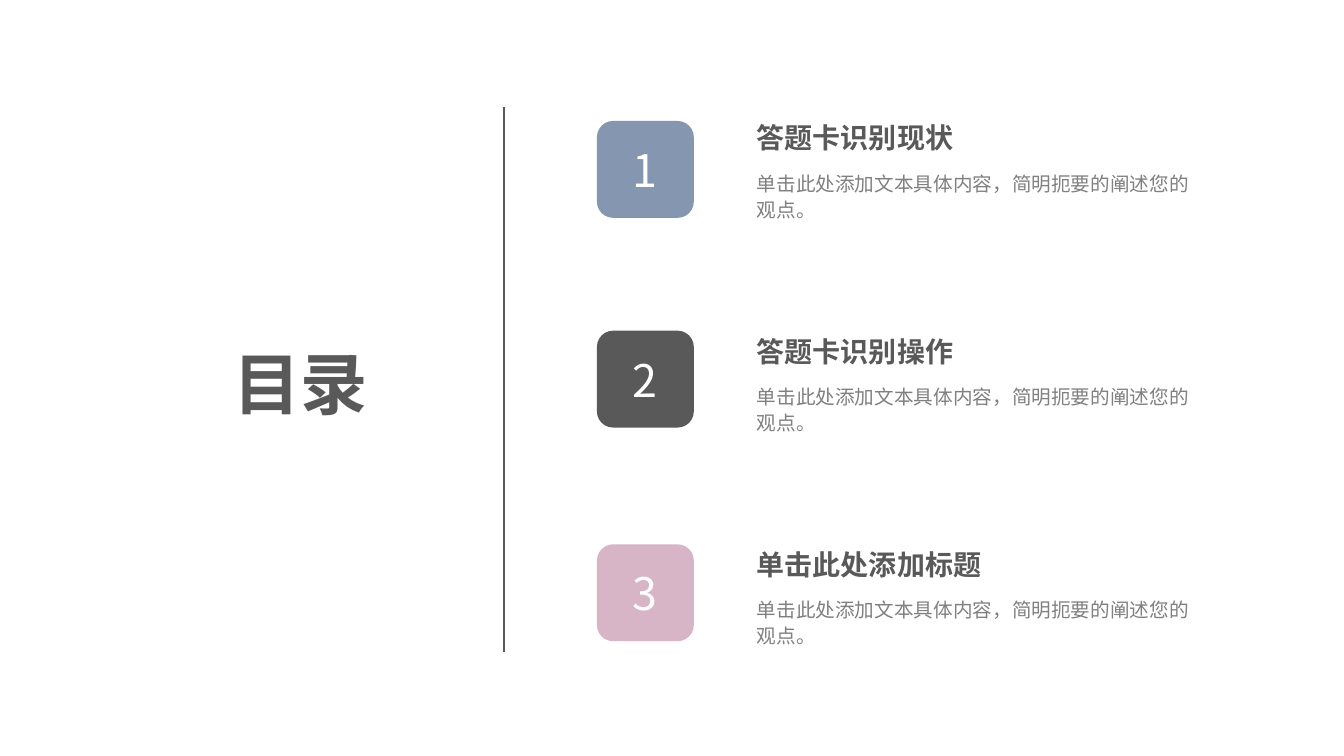
import pptx
import pptx.util
import pptx.dml.color
import pptx.enum.shapes
import pptx.enum.text
from lxml import etree

Pt = pptx.util.Pt
ALIGN = pptx.enum.text.PP_ALIGN
ANCHOR = pptx.enum.text.MSO_ANCHOR

# Content: number, heading, badge colour, badge top, heading top
TITLE = "目录"
DETAIL = "单击此处添加文本具体内容，简明扼要的阐述您的观点。"
ITEMS = [
    ("1", "答题卡识别现状", "blue", 86.4, 85),
    ("2", "答题卡识别操作", "dark", 236.2, 237.6),
    ("3", "单击此处添加标题", "pink", 388.8, 389.5),
]
COLORS = {"blue": "8496B0", "dark": "595959", "pink": "D7B5C6",
          "grey": "808080", "white": "FFFFFF"}
FONT = "Noto Sans CJK SC"
BADGE_LEFT, BADGE_SIZE = 426.4, 69.2
TEXT_LEFT, TEXT_WIDTH = 533.5, 330.5
HEADING_HEIGHT, DETAIL_HEIGHT, DETAIL_OFFSET = 28.8, 55, 32.4


def rgb(name):
    return pptx.dml.color.RGBColor.from_string(COLORS[name])


def write(s, text, size, color, bold=False, align=ALIGN.LEFT,
          anchor=ANCHOR.TOP, spacing=None):
    tf = s.text_frame
    tf.word_wrap = True
    tf.auto_size = pptx.enum.text.MSO_AUTO_SIZE.NONE
    tf.vertical_anchor = anchor
    p = tf.paragraphs[0]
    p.alignment = align
    if spacing:
        p.line_spacing = spacing
    r = p.add_run()
    r.text = text
    r.font.name = FONT
    r.font.size = Pt(size)
    r.font.bold = bold
    r.font.color.rgb = rgb(color)
    # East Asian typeface
    ea = etree.SubElement(r.font._element, pptx.oxml.ns.qn("a:ea"))
    ea.set("typeface", FONT)


prs = pptx.Presentation()
prs.slide_width, prs.slide_height = Pt(960), Pt(540)
slide = prs.slides.add_slide(prs.slide_layouts[5])
shapes = slide.shapes

# Title
s = shapes.title
s.left, s.top, s.width, s.height = Pt(45.4), Pt(240.5), Pt(339), Pt(65.5)
write(s, TITLE, 48, "dark", bold=True, align=ALIGN.CENTER, anchor=ANCHOR.MIDDLE)

# Divider
divider = shapes.add_connector(pptx.enum.shapes.MSO_CONNECTOR.STRAIGHT,
                               Pt(360), Pt(76.3), Pt(360), Pt(465.8))
divider.line.color.rgb = rgb("dark")
divider.line.width = Pt(1.25)
etree.SubElement(divider._element.spPr, pptx.oxml.ns.qn("a:effectLst"))

# Agenda items
for number, heading, color, badge_top, text_top in ITEMS:
    badge = shapes.add_shape(pptx.enum.shapes.MSO_SHAPE.ROUNDED_RECTANGLE,
                             Pt(BADGE_LEFT), Pt(badge_top),
                             Pt(BADGE_SIZE), Pt(BADGE_SIZE))
    badge.shadow.inherit = False
    badge.fill.solid()
    badge.fill.fore_color.rgb = rgb(color)
    badge.line.fill.background()
    write(badge, number, 32, "white", align=ALIGN.CENTER, anchor=ANCHOR.MIDDLE)

    s = shapes.add_textbox(Pt(TEXT_LEFT), Pt(text_top),
                           Pt(TEXT_WIDTH), Pt(HEADING_HEIGHT))
    write(s, heading, 20, "dark", bold=True, anchor=ANCHOR.BOTTOM)

    s = shapes.add_textbox(Pt(TEXT_LEFT), Pt(text_top + DETAIL_OFFSET),
                           Pt(TEXT_WIDTH), Pt(DETAIL_HEIGHT))
    write(s, DETAIL, 14, "grey", spacing=1.1)

prs.save("out.pptx")
